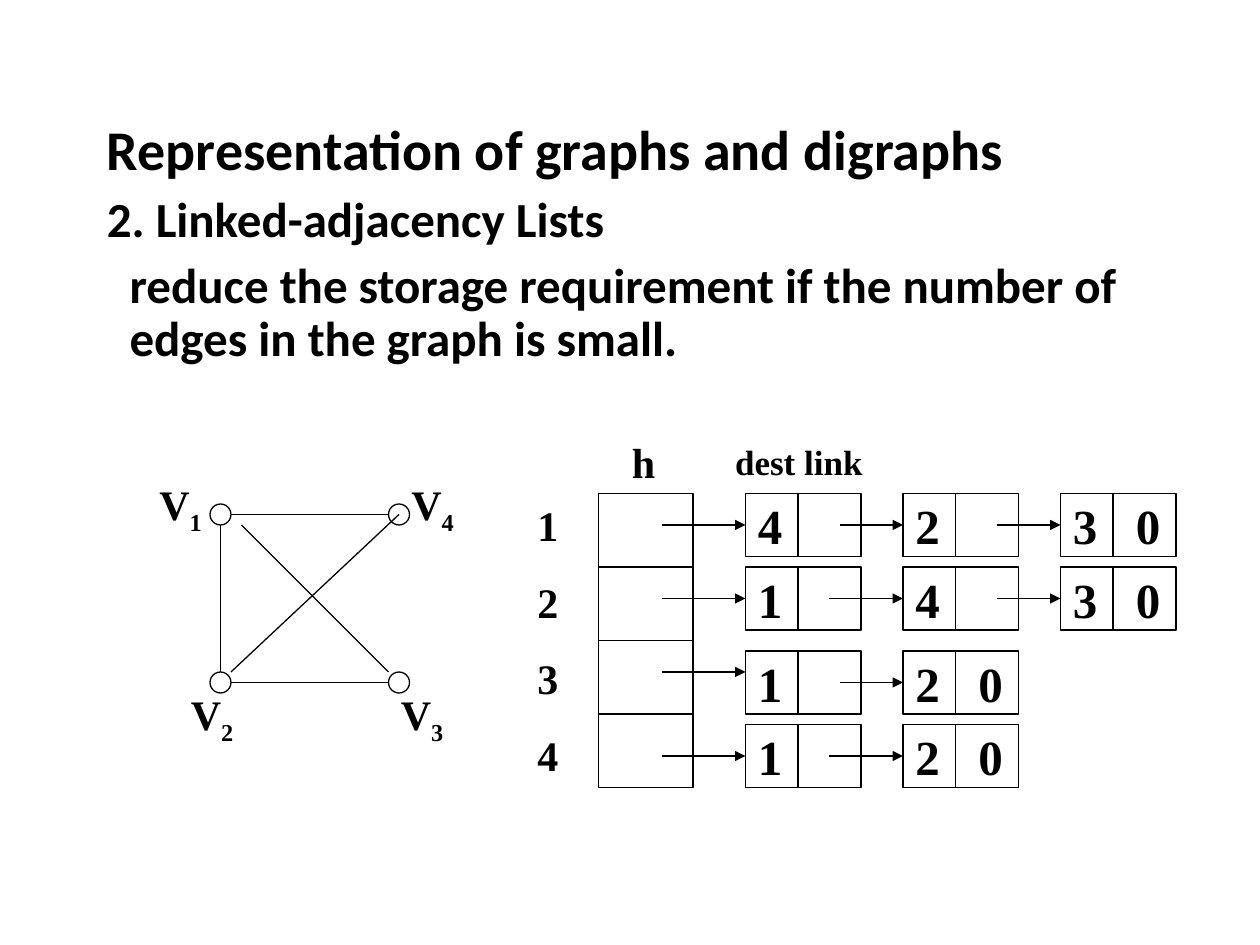
from dataclasses import dataclass
from lxml import etree
from pptx import Presentation
from pptx.dml.color import RGBColor
from pptx.enum.shapes import MSO_CONNECTOR, MSO_SHAPE
from pptx.enum.text import MSO_ANCHOR, PP_ALIGN
from pptx.oxml.ns import qn
from pptx.util import Pt

STRAIGHT = MSO_CONNECTOR.STRAIGHT
OVAL, RECTANGLE = MSO_SHAPE.OVAL, MSO_SHAPE.RECTANGLE
MIDDLE, LEFT = MSO_ANCHOR.MIDDLE, PP_ALIGN.LEFT


@dataclass(frozen=True)
class Theme:
    ink: RGBColor = RGBColor(0, 0, 0)
    heading: str = "Calibri"
    diagram: str = "Times New Roman"
    title: int = 32
    body: int = 28
    label: int = 24
    caption: int = 20
    line: float = 0.75


theme = Theme()
deck = Presentation()
deck.slide_width, deck.slide_height = Pt(720), Pt(540)
slide = deck.slides.add_slide(deck.slide_layouts[6])
shapes = slide.shapes


def write(holder, text, face, size, gap=0, spacing=None, indent=0):
    frame = holder.text_frame
    frame.word_wrap = True
    frame.text = text
    for index, paragraph in enumerate(frame.paragraphs):
        paragraph.alignment = LEFT
        paragraph.line_spacing = spacing
        if index:
            paragraph.space_before = Pt(gap)
        if indent:
            paragraph._p.get_or_add_pPr().set("marL", str(Pt(indent)))
        for run in paragraph.runs:
            run.font.name, run.font.size, run.font.bold = face, Pt(size), True
            run.font.color.rgb = theme.ink
    return frame


def connect(x1, y1, x2, y2, arrow=False):
    link = shapes.add_connector(STRAIGHT, Pt(x1), Pt(y1), Pt(x2), Pt(y2))
    link.line.color.rgb, link.line.width = theme.ink, Pt(theme.line)
    if arrow:
        etree.SubElement(link.line._get_or_add_ln(), qn("a:tailEnd"), type="triangle")
    etree.SubElement(link._element.spPr, qn("a:effectLst"))
    return link


title = shapes.add_textbox(Pt(54), Pt(60), Pt(612), Pt(54))
write(title, "Representation of graphs and digraphs", theme.heading, theme.title,
      spacing=0.9).vertical_anchor = MIDDLE

body = shapes.add_textbox(Pt(54), Pt(108), Pt(642), Pt(402))
statement = write(
    body,
    "2. Linked-adjacency Lists\n"
    "reduce the storage requirement if the number of edges in the graph is small.",
    theme.heading, theme.body, gap=7.5, spacing=0.9)
statement.paragraphs[1]._p.get_or_add_pPr().set("marL", str(Pt(13)))

vertices = [("1", 120, 288, 84, 270), ("2", 120, 384, 102, 390),
            ("3", 222, 384, 222, 390), ("4", 222, 288, 228, 270)]
outlined = []
for number, x, y, label_x, label_y in vertices:
    outlined.append(shapes.add_shape(OVAL, Pt(x), Pt(y), Pt(12), Pt(12)))
    vertex_label = shapes.add_textbox(Pt(label_x), Pt(label_y), Pt(42), Pt(40))
    frame = write(vertex_label, "V", theme.diagram, theme.label)
    subscript = frame.paragraphs[0].add_run()
    subscript.text = number
    subscript.font.name, subscript.font.size = theme.diagram, Pt(theme.label)
    subscript.font.bold, subscript.font.color.rgb = True, theme.ink
    subscript._r.get_or_add_rPr().set("baseline", "-25000")

edges = [(132, 294, 222, 294), (126, 300, 126, 384), (132, 390, 222, 390),
         (228, 294, 132, 384), (138, 300, 222, 384)]
for edge in edges:
    connect(*edge)

head_left, head_top, head_height = 342, 282, 42
node_left, node_pitch, node_width, node_height = 426, 90, 66, 36
adjacency = [
    (282, 300, ["4", "2", "3\t0"], [378, 480, 570]),
    (324, 342, ["1", "4", "3\t0"], [378, 474, 570]),
    (372, 384, ["1", "2\t0"], [378, 480]),
    (414, 432, ["1", "2\t0"], [378, 474]),
]
for row, (top, head_arrow_y, entries, arrow_starts) in enumerate(adjacency):
    outlined.append(shapes.add_shape(
        RECTANGLE, Pt(head_left), Pt(head_top + row * head_height), Pt(54), Pt(head_height)))
    middle = top + node_height / 2
    for column, (entry, start) in enumerate(zip(entries, arrow_starts)):
        left = node_left + column * node_pitch
        node = shapes.add_shape(RECTANGLE, Pt(left), Pt(top), Pt(node_width), Pt(node_height))
        outlined.append(node)
        if "\t" in entry:
            tabs = etree.SubElement(
                node.text_frame.paragraphs[0]._p.get_or_add_pPr(), qn("a:tabLst"))
            etree.SubElement(tabs, qn("a:tab"), pos=str(Pt(35)), algn="l")
        write(node, entry, theme.diagram, theme.body).vertical_anchor = MIDDLE
        connect(left + 30, top, left + 30, top + node_height)
        arrow_y = middle if column else head_arrow_y
        pointer = connect(start, arrow_y, left, arrow_y, arrow=True)
        if arrow_y == middle:
            pointer.end_connect(node, 1)

for outline in outlined:
    outline.shadow.inherit = False
    outline.fill.background()
    outline.line.color.rgb, outline.line.width = theme.ink, Pt(theme.line)

row_numbers = shapes.add_textbox(Pt(300), Pt(282), Pt(36), Pt(168))
write(row_numbers, "1\n2\n3\n4", theme.diagram, theme.label, gap=15)
head_caption = shapes.add_textbox(Pt(336), Pt(246), Pt(54), Pt(36))
write(head_caption, "h", theme.diagram, theme.label, indent=18)
node_caption = shapes.add_textbox(Pt(408), Pt(248), Pt(114), Pt(36))
write(node_caption, "dest link", theme.diagram, theme.caption, indent=5)

deck.save("out.pptx")
